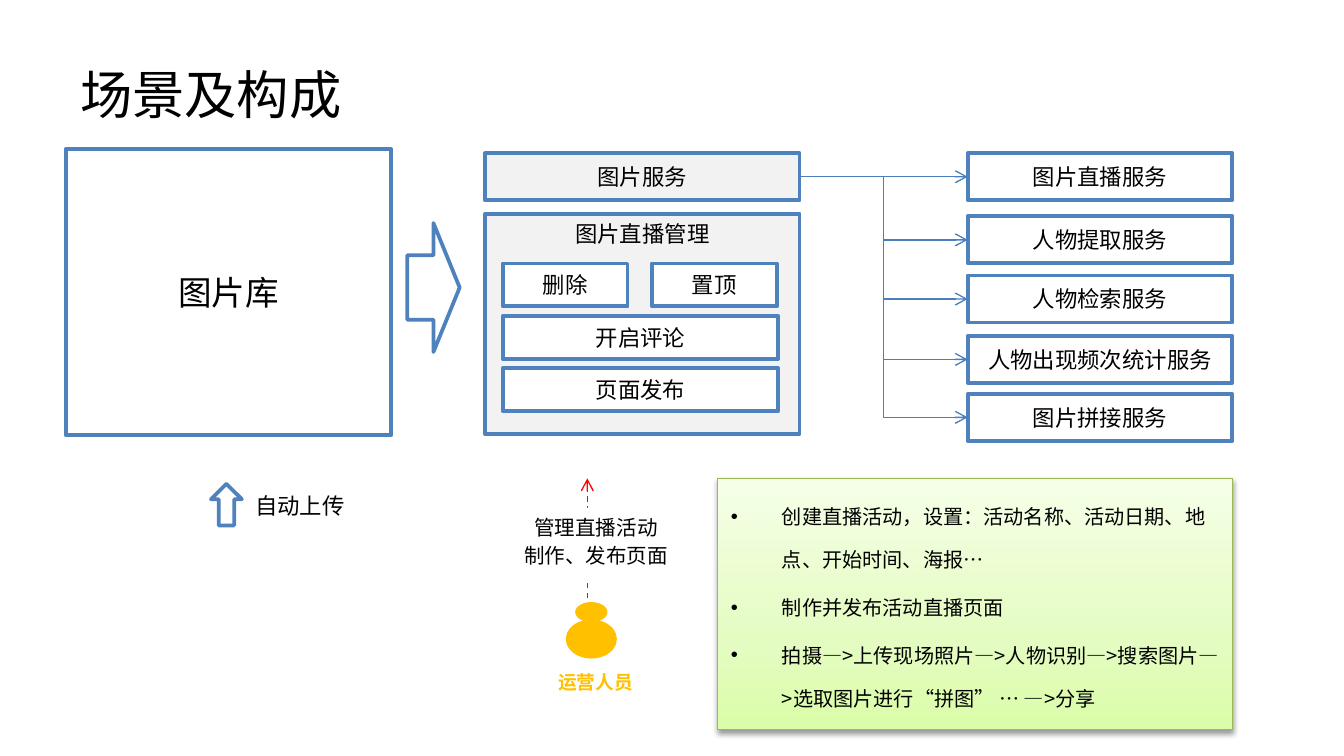
from dataclasses import dataclass

import pptx
import pptx.dml.color
import pptx.enum.dml
import pptx.enum.shapes
import pptx.enum.text
import pptx.oxml
import pptx.oxml.ns
import pptx.util
from pptx.util import Inches

FONT = "Noto Sans CJK SC"
COLORS = {
    "black": "000000", "white": "FFFFFF", "panel": "F2F2F2", "border": "4F81BD",
    "link": "4B7EBC", "alert": "FF0000", "person": "FFC000", "note_line": "98B955",
    "note_bottom": "DAFDA7", "note_middle": "E4FCC2", "note_top": "F5FFE7",
}
SHAPE = pptx.enum.shapes.MSO_SHAPE
CONNECTOR = pptx.enum.shapes.MSO_CONNECTOR
ALIGN = pptx.enum.text.PP_ALIGN
ANCHOR = pptx.enum.text.MSO_ANCHOR
NAMESPACE = pptx.oxml.ns.nsdecls("a")


@dataclass
class Block:
    left: float
    top: float
    width: float
    height: float
    lines: tuple[str, ...] = ()
    size: float = 12
    fill: str | None = "white"
    border: str | None = "border"
    shape: int = SHAPE.RECTANGLE
    color: str = "black"
    bold: bool = False
    align: int = ALIGN.CENTER
    anchor: int = ANCHOR.MIDDLE
    wrap: bool = True
    line_spacing: float = 1.0
    space_before: float = 0
    bullets: bool = False


def rgb(name: str) -> pptx.dml.color.RGBColor:
    return pptx.dml.color.RGBColor.from_string(COLORS[name])


def add_xml(parent, xml: str) -> None:
    parent.append(pptx.oxml.parse_xml(xml))


def write_text(box, block: Block) -> None:
    frame = box.text_frame
    frame.word_wrap = block.wrap
    frame.vertical_anchor = block.anchor
    for index, line in enumerate(block.lines):
        para = frame.add_paragraph() if index else frame.paragraphs[0]
        para.alignment = block.align
        para.line_spacing = block.line_spacing
        para.space_before = pptx.util.Pt(block.space_before if index else 0)
        if block.bullets:
            properties = para._p.get_or_add_pPr()
            properties.set("marL", str(Inches(0.38)))
            properties.set("indent", str(Inches(-0.38)))
            add_xml(properties, f'<a:buFont {NAMESPACE} typeface="Arial"/>')
            add_xml(properties, f'<a:buChar {NAMESPACE} char="•"/>')
        span = para.add_run()
        span.text = line
        span.font.size = pptx.util.Pt(block.size)
        span.font.bold = block.bold
        span.font.name = FONT
        span.font.color.rgb = rgb(block.color)
        add_xml(span.font._element, f'<a:ea {NAMESPACE} typeface="{FONT}"/>')


def add_block(page, block: Block):
    place = [Inches(v) for v in (block.left, block.top, block.width, block.height)]
    if block.fill is None and block.border is None:
        box = page.shapes.add_textbox(*place)
    else:
        box = page.shapes.add_shape(block.shape, *place)
        box.shadow.inherit = False
        box.fill.solid()
        box.fill.fore_color.rgb = rgb(block.fill)
        if block.border:
            box.line.color.rgb = rgb(block.border)
            box.line.width = pptx.util.Pt(2)
        else:
            box.line.fill.background()
    if block.lines:
        write_text(box, block)
    return box


def style_arrow(line, color: str) -> None:
    line.line.color.rgb = rgb(color)
    line.line.width = pptx.util.Pt(0.75)
    add_xml(line.line._get_or_add_ln(), f'<a:tailEnd {NAMESPACE} type="arrow"/>')
    add_xml(line._element.spPr, f"<a:effectLst {NAMESPACE}/>")


def link_boxes(page, source, target, kind: int) -> None:
    line = page.shapes.add_connector(kind, 0, 0, 0, 0)
    line.begin_connect(source, 3)
    line.end_connect(target, 1)
    style_arrow(line, "link")


def add_note(page) -> None:
    note = add_block(page, Block(
        5.34, 3.56, 3.83, 1.87,
        ("创建直播活动，设置：活动名称、活动日期、地点、开始时间、海报…",
         "制作并发布活动直播页面",
         "拍摄—>上传现场照片—>人物识别—>搜索图片—>选取图片进行“拼图” … —>分享"),
        size=10.8, align=ALIGN.LEFT, anchor=ANCHOR.TOP,
        line_spacing=1.8, space_before=2.2, bullets=True))
    note.line.color.rgb = rgb("note_line")
    note.line.width = pptx.util.Pt(0.75)
    stops = "".join(
        f'<a:gs pos="{percent * 1000}"><a:srgbClr val="{COLORS[name]}"/></a:gs>'
        for percent, name in ((0, "note_bottom"), (35, "note_middle"), (100, "note_top")))
    properties = note._element.spPr
    solid = properties.find(pptx.oxml.ns.qn("a:solidFill"))
    properties.replace(solid, pptx.oxml.parse_xml(
        f'<a:gradFill {NAMESPACE} rotWithShape="1"><a:gsLst>{stops}</a:gsLst>'
        '<a:lin ang="16200000" scaled="0"/></a:gradFill>'))
    add_xml(properties.find(pptx.oxml.ns.qn("a:effectLst")),
            f'<a:outerShdw {NAMESPACE} blurRad="{pptx.util.Pt(3.1)}" dist="{pptx.util.Pt(1.6)}" '
            f'dir="5400000" rotWithShape="0"><a:srgbClr val="{COLORS["black"]}">'
            '<a:alpha val="38000"/></a:srgbClr></a:outerShdw>')


def add_operator(page) -> None:
    for left, top, width, height in ((4.28, 4.48, 0.24, 0.15), (4.21, 4.61, 0.38, 0.29)):
        add_block(page, Block(left, top, width, height, fill="person", border=None,
                              shape=SHAPE.FLOWCHART_CONNECTOR))
    line = page.shapes.add_connector(
        CONNECTOR.STRAIGHT, Inches(4.37), Inches(4.45), Inches(4.37), Inches(3.56))
    line.line.dash_style = pptx.enum.dml.MSO_LINE.DASH
    style_arrow(line, "alert")
    add_block(page, Block(3.97, 4.94, 0.92, 0.26, ("运营人员",), size=10, fill=None,
                          border=None, color="person", bold=True, anchor=ANCHOR.TOP))
    add_block(page, Block(3.74, 3.78, 1.39, 0.53, ("管理直播活动", "制作、发布页面"), size=11,
                          border=None, anchor=ANCHOR.TOP, space_before=2.2))


def add_services(page) -> None:
    source = add_block(page, Block(3.61, 1.14, 2.34, 0.35, ("图片服务",), fill="panel"))
    services = (("图片直播服务", 1.14), ("人物提取服务", 1.61), ("人物检索服务", 2.05),
                ("人物出现频次统计服务", 2.5), ("图片拼接服务", 2.93))
    for index, (name, top) in enumerate(services):
        target = add_block(page, Block(7.2, top, 1.97, 0.35, (name,)))
        link_boxes(page, source, target, CONNECTOR.ELBOW if index else CONNECTOR.STRAIGHT)


def add_management(page) -> None:
    add_block(page, Block(3.61, 1.59, 2.34, 1.64, ("图片直播管理",), fill="panel",
                          anchor=ANCHOR.TOP))
    buttons = (("删除", 3.74, 0, 0.93), ("置顶", 4.85, 0, 0.93),
               ("开启评论", 3.74, 1, 2.05), ("页面发布", 3.74, 2, 2.05))
    for name, left, row, width in buttons:
        add_block(page, Block(left, 1.96 + 0.39 * row, width, 0.32, (name,)))


def main() -> None:
    deck = pptx.Presentation()
    deck.slide_width = Inches(10)
    deck.slide_height = deck.slide_width * 9 // 16
    page = deck.slides.add_slide(deck.slide_layouts[6])
    add_block(page, Block(0.5, 0.23, 9, 0.94, ("场景及构成",), size=28, fill=None,
                          border=None, align=ALIGN.LEFT))
    add_block(page, Block(1.57, 3.6, 0.23, 0.31, shape=SHAPE.UP_ARROW))
    add_block(page, Block(0.49, 1.11, 2.42, 2.13, ("图片库",), size=18))
    add_block(page, Block(1.8, 3.61, 0.88, 0.3, ("自动上传",), fill=None, border=None,
                          align=ALIGN.LEFT, anchor=ANCHOR.TOP, wrap=False))
    add_block(page, Block(3.03, 1.66, 0.39, 0.96, shape=SHAPE.RIGHT_ARROW))
    add_note(page)
    add_operator(page)
    add_services(page)
    add_management(page)
    deck.save("out.pptx")


if __name__ == "__main__":
    main()
